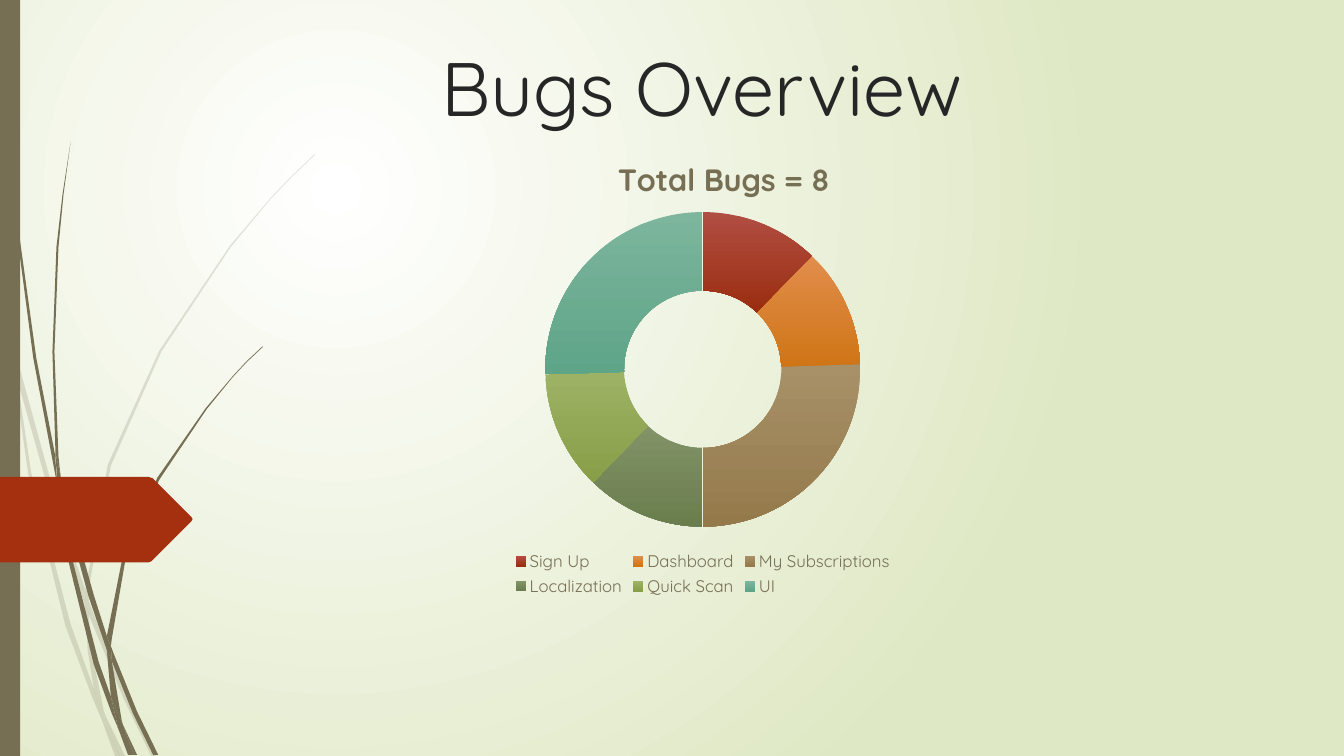
import pptx
import pptx.chart.data
import pptx.dml.color
import pptx.enum.chart
import pptx.enum.shapes
import pptx.enum.text
import pptx.oxml
import pptx.oxml.ns
import pptx.util

Inches = pptx.util.Inches
Pt = pptx.util.Pt
RGBColor = pptx.dml.color.RGBColor

WHITE = RGBColor(0xFF, 0xFF, 0xFF)
PALE_GREEN = RGBColor(0xDF, 0xE8, 0xC4)
OLIVE = RGBColor(0x76, 0x6F, 0x54)
RUST = RGBColor(0xA5, 0x30, 0x10)
DARK = RGBColor(0x26, 0x26, 0x26)
NS = pptx.oxml.ns.nsdecls("a", "c")

# Outline points are in hundredths of an inch
PALE_BLADES = [
    [(11, 350), (9, 322), (0, 282), (0, 299), (10, 344)],
    [(58, 522), (84, 599), (85, 586), (62, 520), (14, 345), (17, 376)],
    [(92, 607), (88, 596), (88, 610), (123, 694), (150, 750), (155, 750), (127, 692)],
    [(119, 750), (124, 750), (105, 711)],
    [(93, 683), (70, 619), (31, 469), (17, 376), (11, 350), (28, 470), (65, 621),
     (92, 693), (101, 714), (99, 707)],
    [(84, 599), (87, 646), (93, 683), (96, 692), (105, 711), (103, 706), (91, 646),
     (88, 610), (88, 608)],
    [(88, 584), (110, 462), (160, 349), (229, 245), (268, 198), (290, 175), (312, 154),
     (312, 153), (289, 175), (268, 197), (228, 244), (158, 348), (107, 461), (85, 584),
     (85, 586), (88, 596)],
    [(101, 714), (114, 750), (119, 750)],
    [(88, 608), (88, 610), (88, 596), (85, 586), (84, 599)],
    [(96, 692), (93, 683), (99, 707), (101, 714), (119, 750), (105, 711)],
]
DARK_BLADES = [
    [(7, 110), (17, 233), (33, 355), (56, 477), (57, 481), (55, 457), (55, 453),
     (36, 355), (19, 232), (8, 109), (5, 48), (4, 0), (3, 0), (4, 48)],
    [(88, 592), (106, 645), (106, 633), (106, 631), (93, 590), (60, 472), (64, 505)],
    [(113, 649), (110, 641), (111, 656), (132, 708), (152, 749), (157, 749), (136, 706)],
    [(110, 691), (98, 657), (72, 556), (64, 505), (57, 477), (68, 557), (93, 659),
     (111, 708), (117, 722), (116, 717)],
    [(60, 472), (58, 453), (54, 349), (58, 245), (63, 193), (70, 141), (62, 193),
     (56, 245), (52, 349), (55, 449)],
    [(133, 749), (136, 749), (122, 719)],
    [(57, 477), (64, 505), (60, 472), (55, 449), (55, 453)],
    [(111, 633), (125, 552), (158, 476), (205, 406), (231, 374), (245, 359), (261, 344),
     (260, 344), (245, 358), (231, 373), (204, 405), (156, 474), (122, 551), (106, 631),
     (110, 641)],
    [(117, 722), (127, 749), (131, 749)],
    [(106, 645), (110, 691), (116, 706), (122, 719), (121, 716), (111, 656), (109, 651)],
    [(106, 645), (109, 651), (111, 656), (110, 641), (106, 631), (106, 633)],
    [(116, 706), (110, 691), (116, 717), (117, 722), (130, 749), (133, 749), (122, 719)],
]
ARROW_TAG = [(0, 473), (147, 473), (150, 474), (151, 474), (190, 513), (191, 515),
             (190, 517), (151, 556), (150, 557), (147, 558), (0, 558)]

# Category, value, gradient top and bottom
BUG_AREAS = [
    ("Sign Up", 12, "B14E43", "9A2D0F"),
    ("Dashboard", 12, "E18D4C", "CF7516"),
    ("My Subscriptions", 25, "A89068", "947A4B"),
    ("Localization", 12, "819367", "6A7D4D"),
    ("Quick Scan", 12, "9DB265", "889E47"),
    ("UI", 25, "7DB59D", "5EA588"),
]


class SlideBuilder:
    """Holds the slide and its typeface."""

    def __init__(self, slide, font_name):
        self.slide = slide
        self.font_name = font_name

    def style_font(self, font, size, color, bold=False):
        font.name = self.font_name
        font.size = Pt(size)
        font.bold = bold
        font.color.rgb = color

    def fill_gradient(self, fill, colors):
        fill.gradient()
        for stop, color, position in zip(fill.gradient_stops, colors, (0, 1)):
            stop.color.rgb = color
            stop.position = position

    def radial_background(self, inner, outer):
        self.fill_gradient(self.slide.background.fill, (inner, outer))
        gradient = self.slide.element.find(".//" + pptx.oxml.ns.qn("a:gradFill"))
        gradient.remove(gradient.find(pptx.oxml.ns.qn("a:lin")))
        gradient.append(pptx.oxml.parse_xml(
            f'<a:path {NS} path="circle">'
            '<a:fillToRect l="50000" t="50000" r="100000" b="100000"/></a:path>'))

    def paint(self, shape, color, opacity=100):
        shape.shadow.inherit = False
        shape.line.fill.background()
        shape.fill.solid()
        shape.fill.fore_color.rgb = color
        if opacity < 100:
            color_element = shape.element.spPr.find(".//" + pptx.oxml.ns.qn("a:srgbClr"))
            color_element.append(pptx.oxml.parse_xml(
                f'<a:alpha {NS} val="{opacity * 1000}"/>'))

    def outline(self, points, color, opacity=100):
        builder = self.slide.shapes.build_freeform(*points[0], scale=Inches(0.01))
        builder.add_line_segments(points[1:], close=True)
        self.paint(builder.convert_to_shape(), color, opacity)

    def rectangle(self, left, top, width, height, color):
        shape = self.slide.shapes.add_shape(
            pptx.enum.shapes.MSO_SHAPE.RECTANGLE,
            Inches(left), Inches(top), Inches(width), Inches(height))
        self.paint(shape, color)

    def title(self, text, left, top, width, height, size, color):
        box = self.slide.shapes.add_textbox(
            Inches(left), Inches(top), Inches(width), Inches(height))
        frame = box.text_frame
        frame.word_wrap = True
        frame.vertical_anchor = pptx.enum.text.MSO_ANCHOR.BOTTOM
        paragraph = frame.paragraphs[0]
        paragraph.text = text
        paragraph.alignment = pptx.enum.text.PP_ALIGN.CENTER
        self.style_font(paragraph.font, size, color)

    def place(self, parent, x, y, size=None):
        """Set a manual layout, in fractions of the chart."""
        values = {"x": x, "y": y}
        target = ""
        if size:
            values.update(w=size[0], h=size[1])
            target = '<c:layoutTarget val="inner"/>'
        modes = "".join(f'<c:{key}Mode val="edge"/>' for key in "xy")
        numbers = "".join(f'<c:{key} val="{value}"/>' for key, value in values.items())
        layout = pptx.oxml.parse_xml(
            f"<c:layout {NS}><c:manualLayout>{target}{modes}{numbers}"
            "</c:manualLayout></c:layout>")
        for old in parent.findall(pptx.oxml.ns.qn("c:layout")):
            parent.remove(old)
        text = parent.find(pptx.oxml.ns.qn("c:tx"))
        parent.insert(0 if text is None else 1, layout)

    def doughnut(self, heading, areas, left, top, width, height):
        data = pptx.chart.data.CategoryChartData()
        data.categories = [area[0] for area in areas]
        data.add_series("Series 1", [area[1] for area in areas])
        chart = self.slide.shapes.add_chart(
            pptx.enum.chart.XL_CHART_TYPE.DOUGHNUT,
            Inches(left), Inches(top), Inches(width), Inches(height), data).chart
        chart.font.name = self.font_name
        chart.font.size = Pt(10)
        plot = chart.plots[0]
        plot.vary_by_categories = True
        chart_space = chart.element
        chart_space.find(".//" + pptx.oxml.ns.qn("c:holeSize")).set("val", "75")

        chart.has_title = True
        paragraph = chart.chart_title.text_frame.paragraphs[0]
        paragraph.text = heading
        self.style_font(paragraph.font, 22, OLIVE, bold=True)
        self.place(chart_space.find(".//" + pptx.oxml.ns.qn("c:title")), 0.38, 0.03)
        self.place(chart_space.find(".//" + pptx.oxml.ns.qn("c:plotArea")),
                   0.29, 0.16, (0.42, 0.68))

        chart.has_legend = True
        chart.legend.position = pptx.enum.chart.XL_LEGEND_POSITION.BOTTOM
        chart.legend.include_in_layout = False
        self.style_font(chart.legend.font, 12, OLIVE)

        for index, area in enumerate(areas):
            point_format = plot.series[0].points[index].format
            self.fill_gradient(point_format.fill,
                               [RGBColor.from_string(code) for code in area[2:]])
            point_format.fill.gradient_angle = 270
            point_format.line.fill.background()


def main():
    presentation = pptx.Presentation()
    presentation.slide_width = Inches(13.33)
    presentation.slide_height = Inches(7.5)
    slide = presentation.slides.add_slide(presentation.slide_layouts[6])
    builder = SlideBuilder(slide, "Quicksand")

    # Backdrop: gradient, grass blades, side bar and arrow tag
    builder.radial_background(WHITE, PALE_GREEN)
    for blade in PALE_BLADES:
        builder.outline(blade, OLIVE, opacity=20)
    for blade in DARK_BLADES:
        builder.outline(blade, OLIVE)
    builder.rectangle(0, 0, 0.2, 7.5, OLIVE)
    builder.outline(ARROW_TAG, RUST)

    # Title and chart
    builder.title("Bugs Overview", 2.09, -1.11, 9.75, 2.47, 54, DARK)
    builder.doughnut("Total Bugs = 8", BUG_AREAS, 3.23, 1.37, 7.48, 4.59)

    presentation.save("out.pptx")


if __name__ == "__main__":
    main()
